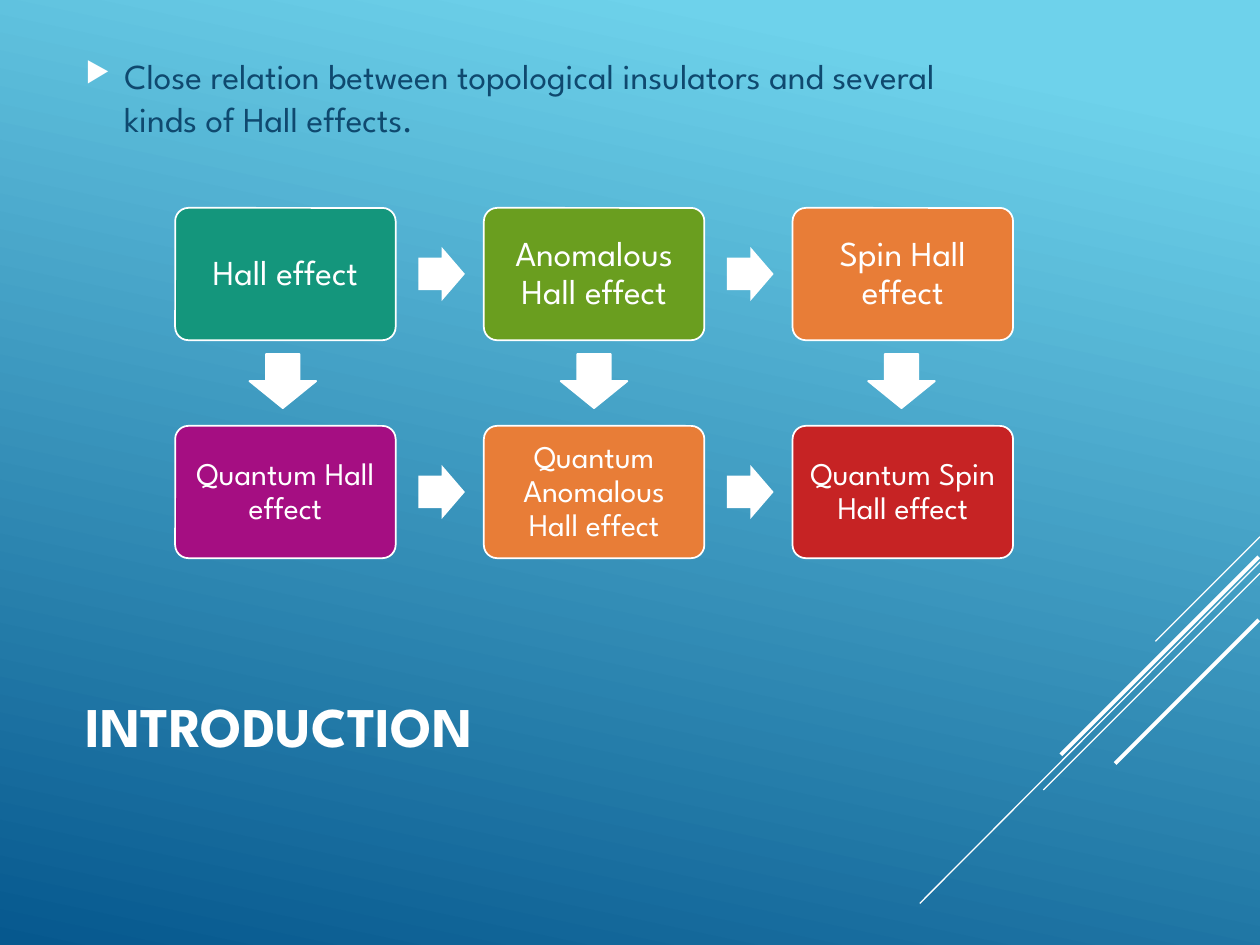
from lxml import etree
from pptx import Presentation
from pptx.dml.color import RGBColor
from pptx.enum import shapes, text
from pptx.oxml.ns import qn
from pptx.util import Inches, Pt

FONT = "League Spartan"
COLORS = {
    "sky": "6ED2EB", "deep": "06588E", "white": "FFFFFF", "navy": "0F496F",
    "teal": "14967C", "green": "6A9E1F", "orange": "E87D37",
    "purple": "A50E82", "red": "C62324",
}
TITLE = "INTRODUCTION"
STATEMENT = "Close relation between topological insulators and several kinds of Hall effects."
EFFECT_ROWS = [
    {"top": 1.65, "size": 20, "inset": 0.08, "effects": [
        ("Hall effect", "teal"),
        ("Anomalous Hall effect", "green"),
        ("Spin Hall effect", "orange")]},
    {"top": 3.38, "size": 18, "inset": 0.07, "effects": [
        ("Quantum Hall effect", "purple"),
        ("Quantum Anomalous Hall effect", "orange"),
        ("Quantum Spin Hall effect", "red")]},
]
STRIPES = [
    (10, 4.26, 9.17, 5.09, 0.75),
    (10, 4.46, 7.3, 7.17, 0.75),
    (10, 4.55, 8.28, 6.27, 0.75),
    (9.99, 4.42, 8.42, 5.99, 2.25),
    (9.99, 4.92, 8.85, 6.06, 2.25),
]
LEFT, PITCH, BOX_W, BOX_H = 1.39, 2.45, 1.75, 1.05
ACROSS_W, ACROSS_H, ACROSS_OFFSET = 0.37, 0.43, 1.93
DOWN_TOP, DOWN_W, DOWN_H = 2.81, 0.53, 0.43
DOWN_LEFTS = (1.98, 4.45, 6.89)


def rgb(name):
    return RGBColor.from_string(COLORS[name])


def add_stripe(slide, x1, y1, x2, y2, width):
    stripe = slide.shapes.add_connector(
        shapes.MSO_CONNECTOR.STRAIGHT, *map(Inches, (x1, y1, x2, y2)))
    stripe.line.color.rgb = rgb("white")
    stripe.line.width = Pt(width)
    etree.SubElement(stripe._element.spPr, qn("a:effectLst"))


def add_filled(slide, kind, place, color, outlined=True):
    shape = slide.shapes.add_shape(kind, *map(Inches, place))
    shape.shadow.inherit = False
    shape.fill.solid()
    shape.fill.fore_color.rgb = rgb(color)
    if outlined:
        shape.line.color.rgb = rgb("white")
        shape.line.width = Pt(1)
    else:
        shape.line.fill.background()
    return shape


def write(shape, words, size, color, bold=False):
    frame = shape.text_frame
    frame.word_wrap = True
    frame.vertical_anchor = text.MSO_ANCHOR.MIDDLE
    paragraph = frame.paragraphs[0]
    paragraph.text = words
    paragraph.font.name = FONT
    paragraph.font.size = Pt(size)
    paragraph.font.bold = bold
    paragraph.font.color.rgb = rgb(color)
    return paragraph


def add_bullet(paragraph):
    props = paragraph._p.get_or_add_pPr()
    props.set("marL", str(Inches(0.31)))
    props.set("indent", str(-Inches(0.31)))
    color = etree.SubElement(props, qn("a:buClr"))
    etree.SubElement(color, qn("a:srgbClr"), val=COLORS["white"])
    etree.SubElement(props, qn("a:buSzPct"), val="80000")
    etree.SubElement(props, qn("a:buChar"), char="▶")
    props.append(props.find(qn("a:defRPr")))


def add_effect(slide, row, column, words, color):
    place = (LEFT + column * PITCH, row["top"], BOX_W, BOX_H)
    box = add_filled(slide, shapes.MSO_SHAPE.ROUNDED_RECTANGLE, place, color)
    box.adjustments[0] = 0.1
    frame = box.text_frame
    frame.margin_left = frame.margin_right = Inches(row["inset"])
    frame.margin_top = frame.margin_bottom = Inches(row["inset"])
    paragraph = write(box, words, row["size"], "white")
    paragraph.alignment = text.PP_ALIGN.CENTER
    paragraph.line_spacing = 0.9


def main():
    deck = Presentation()
    deck.slide_width, deck.slide_height = Inches(10), Inches(7.5)
    slide = deck.slides.add_slide(deck.slide_layouts[6])

    backdrop = slide.background.fill
    backdrop.gradient()
    backdrop.gradient_angle = 258
    for stop, (position, color) in zip(
            backdrop.gradient_stops, [(0.1, "sky"), (1, "deep")]):
        stop.position = position
        stop.color.rgb = rgb(color)

    for stripe in STRIPES:
        add_stripe(slide, *stripe)

    title = slide.shapes.add_textbox(*map(Inches, (0.58, 4.92, 7.17, 1.67)))
    write(title, TITLE, 32, "white", bold=True)

    statement = slide.shapes.add_textbox(*map(Inches, (0.58, 0.27, 7.17, 1)))
    point = write(statement, STATEMENT, 20, "navy")
    point.space_before, point.space_after = Pt(4), Pt(6)
    add_bullet(point)

    for row in EFFECT_ROWS:
        for column, (words, color) in enumerate(row["effects"]):
            add_effect(slide, row, column, words, color)
            if column:
                place = (LEFT + (column - 1) * PITCH + ACROSS_OFFSET,
                         row["top"] + (BOX_H - ACROSS_H) / 2, ACROSS_W, ACROSS_H)
                across = add_filled(slide, shapes.MSO_SHAPE.RIGHT_ARROW, place,
                                    "white", outlined=False)
                across.adjustments[0] = 0.6

    for left in DOWN_LEFTS:
        add_filled(slide, shapes.MSO_SHAPE.DOWN_ARROW,
                   (left, DOWN_TOP, DOWN_W, DOWN_H), "white")

    deck.save("out.pptx")


if __name__ == "__main__":
    main()
